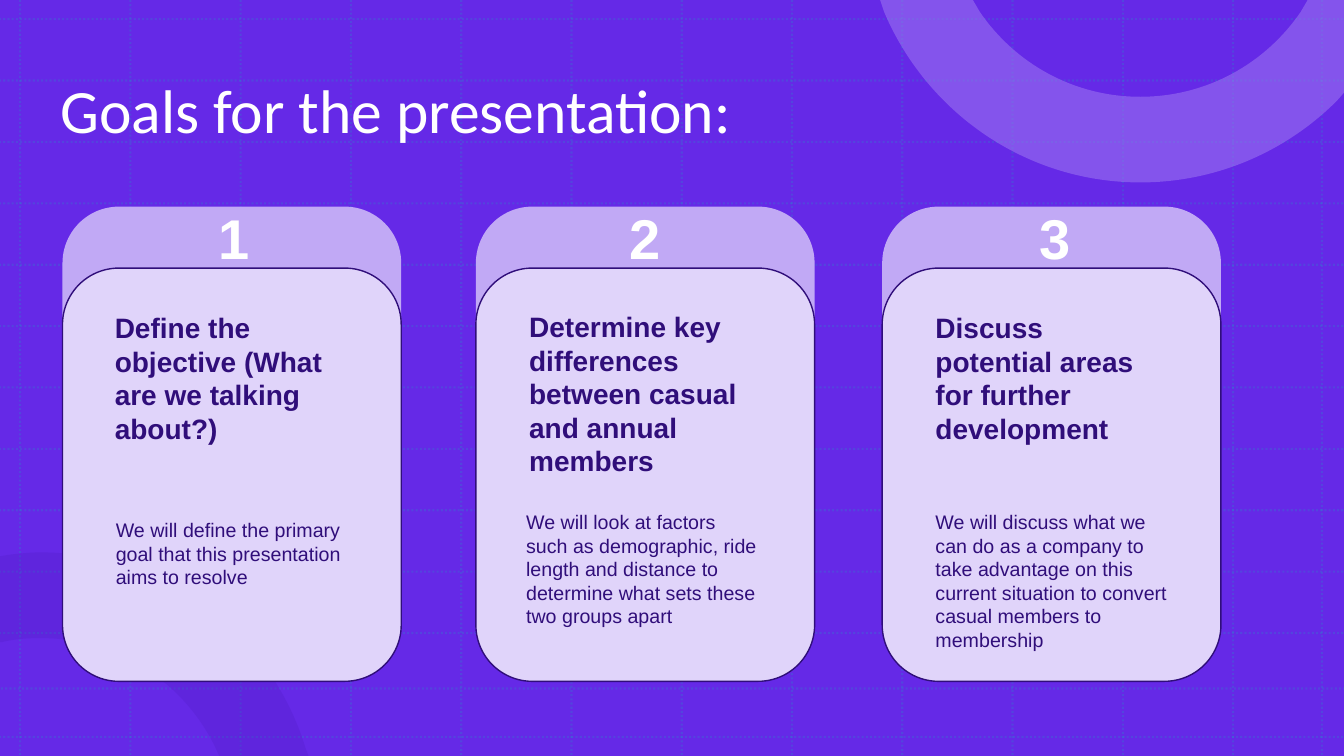
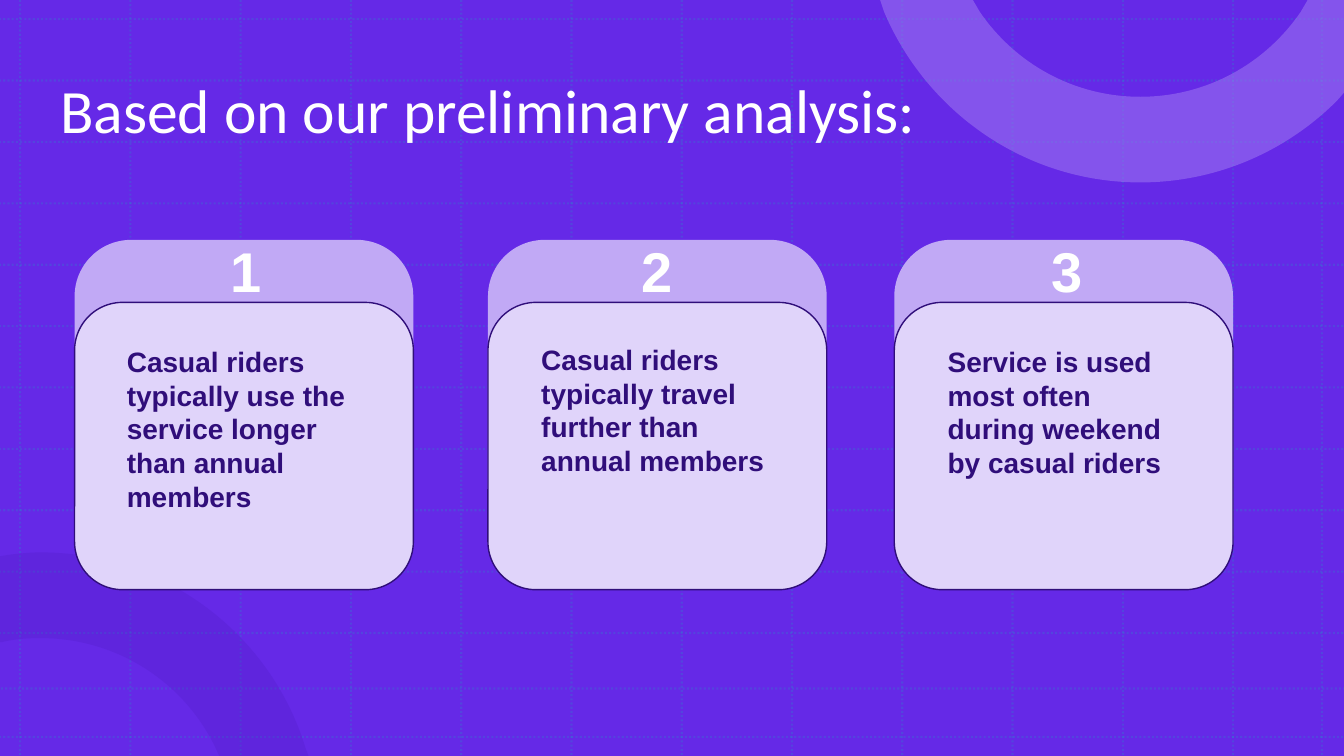
import lxml.etree
import pptx
import pptx.dml.color
import pptx.enum.dml
import pptx.enum.shapes
import pptx.enum.text
import pptx.oxml.ns
import pptx.util

Inches = pptx.util.Inches
Pt = pptx.util.Pt
qn = pptx.oxml.ns.qn
SHAPES = pptx.enum.shapes.MSO_SHAPE

WIDE, HIGH = 13.33, 7.5
COLORS = {
    "back": "6529E7",
    "grid": "14B1BC",
    "dark": "4815B7",
    "light": "A37FF1",
    "tab": "C1A9F5",
    "card": "E0D4FA",
    "ink": "300E7A",
    "white": "FFFFFF",
}

# Heads: text, top, height. Bodies: text, top, height.
SLIDES = [
    {
        "title": "Goals for the presentation:",
        "left": 0.62,
        "tab": (2.05, 4.1),
        "card": (2.66, 4.1),
        "number": 1.97,
        "heads": [
            ("Define the objective (What are we talking about?)", 3.03, 1.45),
            ("Determine key differences between casual and annual members", 3.02, 1.78),
            ("Discuss potential areas for further development", 3.03, 1.11),
        ],
        "bodies": [
            ("We will define the primary goal that this presentation aims to resolve",
             5.09, 1.04),
            ("We will look at factors such as demographic, ride length and distance "
             "to determine what sets these two groups apart", 5.01, 1.28),
            ("We will discuss what we can do as a company to take advantage on this "
             "current situation to convert casual members to membership", 5.01, 1.51),
        ],
    },
    {
        "title": "Based on our preliminary analysis:",
        "left": 0.74,
        "tab": (2.38, 3.47),
        "card": (3, 2.85),
        "number": 2.3,
        "heads": [
            ("Casual riders typically use the service longer than annual members",
             3.37, 1.78),
            ("Casual riders typically travel further than annual members", 3.35, 1.45),
            ("Service is used most often during weekend by casual riders", 3.37, 1.45),
        ],
        "bodies": [],
    },
]

# Steps from the left edge of the first card
CARD_STEPS = (0, 4.1, 8.13)
NUMBER_STEPS = (1.45, 5.52, 9.59)
HEAD_STEPS = (0.42, 4.53, 8.56)
BODY_STEPS = (0.43, 4.5, 8.56)
NUMBER_HIGHS = (0.77, 0.77, 1.45)

COLS = [0.2 + 12.03 / 11 * i for i in range(12)] + [13.11]
ROWS = [(-0.01, 0.19 + 0.609 * i, WIDE) for i in range(11)]
ROWS += [(0.01, 6.83, 13.35), (-0.01, 7.31, 13.32)]

# Each ring: colour, opacity, start, then lines (one point) and curves (three)
RINGS = [
    ("dark", 20, (0.4, 5.48), [
        [(1.64, 5.48), (2.69, 6.3), (3.03, 7.42)],
        [(3.06, 7.5)], [(2.17, 7.5)], [(2.17, 7.49)],
        [(1.88, 6.81), (1.2, 6.33), (0.4, 6.33)],
        [(0.27, 6.33), (0.14, 6.34), (0.02, 6.37)],
        [(-0.01, 6.37)], [(-0.01, 5.52)], [(0.12, 5.5)],
        [(0.21, 5.49), (0.31, 5.48), (0.4, 5.48)],
    ]),
    ("light", 50, (8.73, 0), [
        [(9.65, 0)], [(9.72, 0.12)],
        [(10.07, 0.63), (10.65, 0.96), (11.31, 0.96)],
        [(11.97, 0.96), (12.55, 0.63), (12.9, 0.12)],
        [(12.97, 0)], [(13.33, 0)], [(13.33, 0.92)], [(13.26, 1)],
        [(12.76, 1.5), (12.07, 1.81), (11.31, 1.81)],
        [(10.17, 1.81), (9.19, 1.11), (8.77, 0.12)],
    ]),
]


def rgb(name):
    return pptx.dml.color.RGBColor.from_string(COLORS[name])


def fade(item, percent):
    """Make the item's colour partly transparent."""
    for color in item._element.spPr.iter(qn("a:srgbClr")):
        lxml.etree.SubElement(color, qn("a:alpha")).set("val", str(percent * 1000))


def paint(shape, fill, line=None):
    shape.shadow.inherit = False
    shape.fill.solid()
    shape.fill.fore_color.rgb = rgb(fill)
    if line:
        shape.line.color.rgb = rgb(line)
        shape.line.width = Pt(1)
    else:
        shape.line.fill.background()


def add_rule(slide, x1, y1, x2, y2):
    rule = slide.shapes.add_connector(
        pptx.enum.shapes.MSO_CONNECTOR.STRAIGHT, *map(Inches, (x1, y1, x2, y2)))
    rule.line.color.rgb = rgb("grid")
    rule.line.width = Pt(1.5)
    rule.line.dash_style = pptx.enum.dml.MSO_LINE.ROUND_DOT
    fade(rule, 20)
    lxml.etree.SubElement(rule._element.spPr, qn("a:effectLst"))


def add_ring(slide, color, percent, start, parts):
    """Draw all points as lines, then join each set of three into a curve."""
    pen = slide.shapes.build_freeform(*map(Inches, start))
    pen.add_line_segments(
        [tuple(map(Inches, point)) for part in parts for point in part], close=True)
    ring = pen.convert_to_shape()
    lines = iter(list(ring._element.spPr.iter(qn("a:lnTo"))))
    for part in parts:
        first, *rest = [next(lines) for point in part]
        if rest:
            first.tag = qn("a:cubicBezTo")
            for line in rest:
                first.append(line[0])
                line.getparent().remove(line)
    paint(ring, color)
    fade(ring, percent)


def add_box(slide, kind, place, fill, line=None):
    paint(slide.shapes.add_shape(kind, *map(Inches, place)), fill, line)


def add_text(slide, text, place, size, color, bold=False, face="Arial"):
    frame = slide.shapes.add_textbox(*map(Inches, place)).text_frame
    frame.word_wrap = True
    frame.text = text
    line = frame.paragraphs[0]
    line.font.name = face
    line.font.size = Pt(size)
    line.font.bold = bold
    line.font.color.rgb = rgb(color)
    return frame


def add_base(slide, title):
    """Add the background, grid, rings and title that all slides share."""
    add_box(slide, SHAPES.RECTANGLE, (0, 0, WIDE, HIGH), "back")
    for x in COLS:
        add_rule(slide, x, 0, x, HIGH)
    for left, y, right in ROWS:
        add_rule(slide, left, y, right, y)
    for ring in RINGS:
        add_ring(slide, *ring)
    frame = add_text(slide, title, (0.5, 0.4, 11.73, 1.45), 44, "white", face="Calibri")
    frame.vertical_anchor = pptx.enum.text.MSO_ANCHOR.MIDDLE
    frame.paragraphs[0].line_spacing = 0.9


def add_cards(slide, data):
    left = data["left"]
    for part, line in (("tab", None), ("card", "ink")):
        top, high = data[part]
        for step in CARD_STEPS:
            add_box(slide, SHAPES.ROUNDED_RECTANGLE,
                    (left + step, top, 3.36, high), part, line)
    for i, (step, high) in enumerate(zip(NUMBER_STEPS, NUMBER_HIGHS), 1):
        add_text(slide, str(i), (left + step, data["number"], 1.78, high),
                 40, "white", True)
    for part, steps, size in (("heads", HEAD_STEPS, 20), ("bodies", BODY_STEPS, 14)):
        for step, (text, top, high) in zip(steps, data[part]):
            add_text(slide, text, (left + step, top, 2.5, high),
                     size, "ink", part == "heads")


def main():
    deck = pptx.Presentation()
    deck.slide_width, deck.slide_height = Inches(WIDE), Inches(HIGH)
    for data in SLIDES:
        slide = deck.slides.add_slide(deck.slide_layouts[6])
        add_base(slide, data["title"])
        add_cards(slide, data)
    deck.save("out.pptx")


if __name__ == "__main__":
    main()
